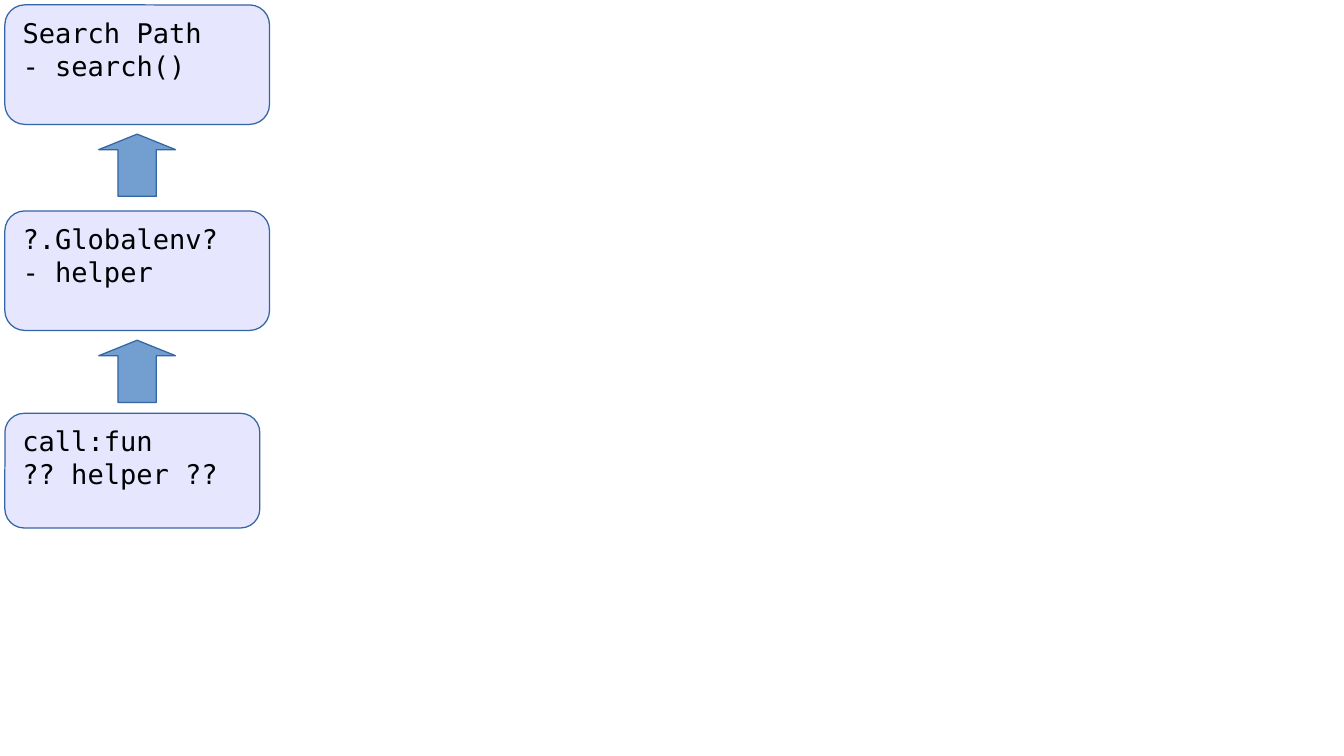
import pptx
import pptx.dml.color
import pptx.enum.shapes
import pptx.enum.text
import pptx.util

RGBColor = pptx.dml.color.RGBColor
MSO_SHAPE = pptx.enum.shapes.MSO_SHAPE
Inches = pptx.util.Inches

LAVENDER = RGBColor(0xE6, 0xE6, 0xFF)
ARROW_BLUE = RGBColor(0x72, 0x9F, 0xCF)
OUTLINE_BLUE = RGBColor(0x34, 0x65, 0xA4)
BLACK = RGBColor(0, 0, 0)

SLIDE_WIDTH, SLIDE_HEIGHT = 11.02, 6.2
LEFT = 0.04
ARROW_WIDTH, ARROW_HEIGHT = 0.63, 0.51
ARROW_GAP = 0.08

# Environments from the top down: top, width, height, lines
ENVIRONMENTS = [
    (0.04, 2.17, 0.98, ["Search Path", "- search()"]),
    (1.73, 2.17, 0.98, ["?.Globalenv?", "- helper"]),
    (3.39, 2.09, 0.94, ["call:fun", "?? helper ??"]),
]


def add_outlined_shape(slide, kind, box, fill_color, adjustments):
    shape = slide.shapes.add_shape(kind, *(Inches(length) for length in box))
    shape.shadow.inherit = False
    shape.fill.solid()
    shape.fill.fore_color.rgb = fill_color
    shape.line.color.rgb = OUTLINE_BLUE
    shape.line.width = pptx.util.Pt(0)
    for index, value in enumerate(adjustments):
        shape.adjustments[index] = value
    return shape


def add_environment(slide, box, lines):
    shape = add_outlined_shape(
        slide, MSO_SHAPE.ROUNDED_RECTANGLE, box, LAVENDER, [0.167])
    text_frame = shape.text_frame
    text_frame.word_wrap = True
    text_frame.vertical_anchor = pptx.enum.text.MSO_ANCHOR.TOP
    for index, line in enumerate(lines):
        paragraph = text_frame.paragraphs[0] if index == 0 else text_frame.add_paragraph()
        paragraph.alignment = pptx.enum.text.PP_ALIGN.LEFT
        run = paragraph.add_run()
        run.text = line
        run.font.name = "DejaVu Sans Mono"
        run.font.size = pptx.util.Pt(16)
        run.font.color.rgb = BLACK


def add_parent_arrow(slide, box):
    """Draw an arrow centred just below the parent environment's box."""
    left, top, width, height = box
    arrow_box = (left + (width - ARROW_WIDTH) / 2, top + height + ARROW_GAP,
                 ARROW_WIDTH, ARROW_HEIGHT)
    add_outlined_shape(slide, MSO_SHAPE.UP_ARROW, arrow_box, ARROW_BLUE, [0.5, 0.25])


def add_search_chain(slide):
    for index, (top, width, height, lines) in enumerate(ENVIRONMENTS):
        box = (LEFT, top, width, height)
        add_environment(slide, box, lines)
        if index < len(ENVIRONMENTS) - 1:
            add_parent_arrow(slide, box)


def main():
    presentation = pptx.Presentation()
    presentation.slide_width = Inches(SLIDE_WIDTH)
    presentation.slide_height = Inches(SLIDE_HEIGHT)
    # Blank layout
    slide = presentation.slides.add_slide(presentation.slide_layouts[6])
    add_search_chain(slide)
    presentation.save("out.pptx")


if __name__ == "__main__":
    main()
